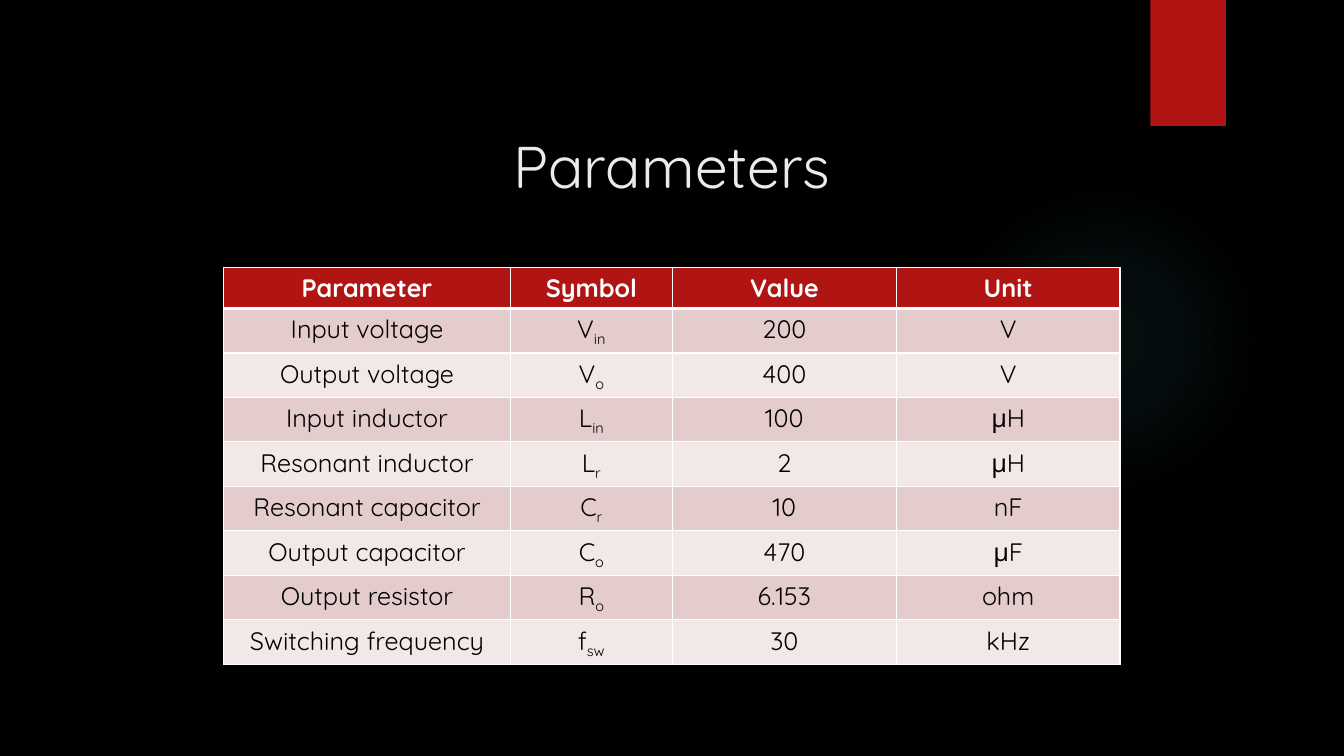
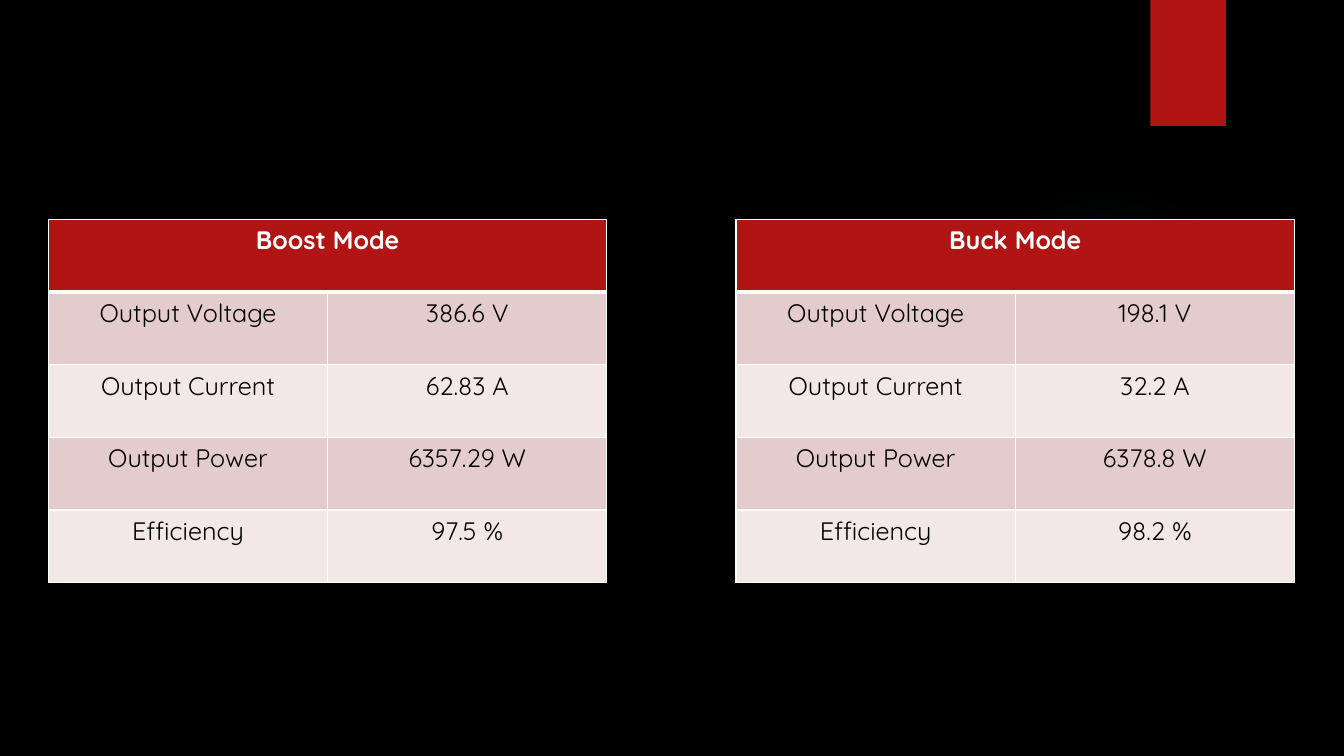
from dataclasses import dataclass

from pptx import Presentation
from pptx.dml.color import RGBColor
from pptx.enum.shapes import MSO_SHAPE
from pptx.enum.text import MSO_ANCHOR, PP_ALIGN
from pptx.oxml import parse_xml
from pptx.oxml.ns import nsdecls, qn
from pptx.util import Inches, Pt

RECTANGLE = MSO_SHAPE.RECTANGLE
OVAL = MSO_SHAPE.OVAL
CENTER = PP_ALIGN.CENTER
MIDDLE = MSO_ANCHOR.MIDDLE


@dataclass(frozen=True)
class Theme:
    font: str = "Quicksand"
    background: str = "000000"
    accent: str = "B01513"
    glow: str = "50B9C1"
    title: str = "EBEBEB"
    header_text: str = "FFFFFF"
    body_text: str = "000000"
    border: str = "FFFFFF"
    stripes: tuple = ("E4CCCC", "F2E8E7")
    title_size: int = 42
    table_size: int = 18
    border_width: int = 1
    header_rule: int = 3
    subscript: int = -25000


THEME = Theme()
GLOW_STOPS = ((0, 7), (36, 6), (69, 0))

PARAMETERS = [
    ("Parameter", "Symbol", "Value", "Unit"),
    ("Input voltage", ("V", "in"), "200", "V"),
    ("Output voltage", ("V", "o"), "400", "V"),
    ("Input inductor", ("L", "in"), "100", "μH"),
    ("Resonant inductor", ("L", "r"), "2", "μH"),
    ("Resonant capacitor", ("C", "r"), "10", "nF"),
    ("Output capacitor", ("C", "o"), "470", "μF"),
    ("Output resistor", ("R", "o"), "6.153", "ohm"),
    ("Switching frequency", ("f", "sw"), "30", "kHz"),
]
MEASURES = ("Output Voltage", "Output Current", "Output Power", "Efficiency")
MODES = {
    "Boost Mode": ("386.6 V", "62.83 A", "6357.29 W", "97.5 %"),
    "Buck Mode": ("198.1 V", "32.2 A", "6378.8 W", "98.2 %"),
}


def add_text(para, text, size, color, bold=False, subscript=False):
    para.alignment = CENTER
    span = para.add_run()
    span.text = text
    span.font.name = THEME.font
    span.font.size = Pt(size)
    span.font.bold = bold
    span.font.color.rgb = RGBColor.from_string(color)
    if subscript:
        span._r.get_or_add_rPr().set("baseline", str(THEME.subscript))


def add_plain_shape(page, kind, left, top, width, height, color):
    shape = page.shapes.add_shape(
        kind, Inches(left), Inches(top), Inches(width), Inches(height))
    shape.shadow.inherit = False
    shape.fill.solid()
    shape.fill.fore_color.rgb = RGBColor.from_string(color)
    shape.line.fill.background()
    return shape


def add_glow(page, left, top, size):
    glow = add_plain_shape(page, OVAL, left, top, size, size, THEME.glow)
    stops = "".join(
        f'<a:gs pos="{position * 1000}"><a:srgbClr val="{THEME.glow}">'
        f'<a:alpha val="{opacity * 1000}"/></a:srgbClr></a:gs>'
        for position, opacity in GLOW_STOPS)
    gradient = parse_xml(
        f'<a:gradFill {nsdecls("a")} rotWithShape="1"><a:gsLst>{stops}</a:gsLst>'
        '<a:path path="circle"><a:fillToRect l="50000" t="50000" r="50000" b="50000"/>'
        '</a:path></a:gradFill>')
    properties = glow._element.spPr
    properties.replace(properties.find(qn("a:solidFill")), gradient)


def add_page(deck):
    page = deck.slides.add_slide(deck.slide_layouts[6])
    page.background.fill.solid()
    page.background.fill.fore_color.rgb = RGBColor.from_string(THEME.background)
    add_glow(page, 9.41, 1.83, 3.08)
    add_plain_shape(page, RECTANGLE, 11.41, 0, 0.75, 1.25, THEME.accent)
    return page


def add_title(page, text, left, top, width, height):
    box = page.shapes.add_textbox(
        Inches(left), Inches(top), Inches(width), Inches(height))
    frame = box.text_frame
    frame.word_wrap = True
    frame.vertical_anchor = MIDDLE
    add_text(frame.paragraphs[0], text, THEME.title_size, THEME.title)


def set_borders(cell, top, bottom):
    side = THEME.border_width
    properties = cell._tc.get_or_add_tcPr()
    for edge, width in (("L", side), ("R", side), ("T", top), ("B", bottom)):
        properties.append(parse_xml(
            f'<a:ln{edge} {nsdecls("a")} w="{Pt(width)}"><a:solidFill>'
            f'<a:srgbClr val="{THEME.border}"/></a:solidFill></a:ln{edge}>'))


def fill_cell(cell, content, row_index):
    header = row_index == 0
    set_borders(
        cell,
        top=THEME.header_rule if row_index == 1 else THEME.border_width,
        bottom=THEME.header_rule if header else THEME.border_width)
    fill = THEME.accent if header else THEME.stripes[(row_index - 1) % 2]
    cell.fill.solid()
    cell.fill.fore_color.rgb = RGBColor.from_string(fill)
    parts = (content,) if isinstance(content, str) else content
    for index, part in enumerate(parts):
        add_text(
            cell.text_frame.paragraphs[0], part, THEME.table_size,
            THEME.header_text if header else THEME.body_text,
            bold=header, subscript=index > 0)


def add_data_table(page, rows, left, top, column_widths, row_height):
    table = page.shapes.add_table(
        len(rows), len(column_widths), Inches(left), Inches(top),
        Inches(sum(column_widths)), Inches(row_height * len(rows))).table
    for column, width in zip(table.columns, column_widths):
        column.width = Inches(width)
    for row_index, contents in enumerate(rows):
        table.rows[row_index].height = Inches(row_height)
        for column_index, content in enumerate(contents):
            fill_cell(table.cell(row_index, column_index), content, row_index)
    return table


def build_parameters_page(deck):
    page = add_page(deck)
    add_title(page, "Parameters", 1.52, 1.2, 10.29, 0.88)
    add_data_table(page, PARAMETERS, 2.22, 2.65, (2.84, 1.61, 2.22, 2.22), 0.41)


def add_mode_table(page, mode, values, left, top):
    rows = [(mode, ()), *zip(MEASURES, values)]
    table = add_data_table(page, rows, left, top, (2.77, 2.77), 0.72)
    table.cell(0, 0).merge(table.cell(0, 1))


def build_modes_page(deck):
    page = add_page(deck)
    for index, (mode, values) in enumerate(MODES.items()):
        add_mode_table(page, mode, values, 0.48 + index * 6.82, 2.18)


def main():
    deck = Presentation()
    deck.slide_width = Inches(13.33)
    deck.slide_height = Inches(7.5)
    build_parameters_page(deck)
    build_modes_page(deck)
    deck.save("out.pptx")


if __name__ == "__main__":
    main()
